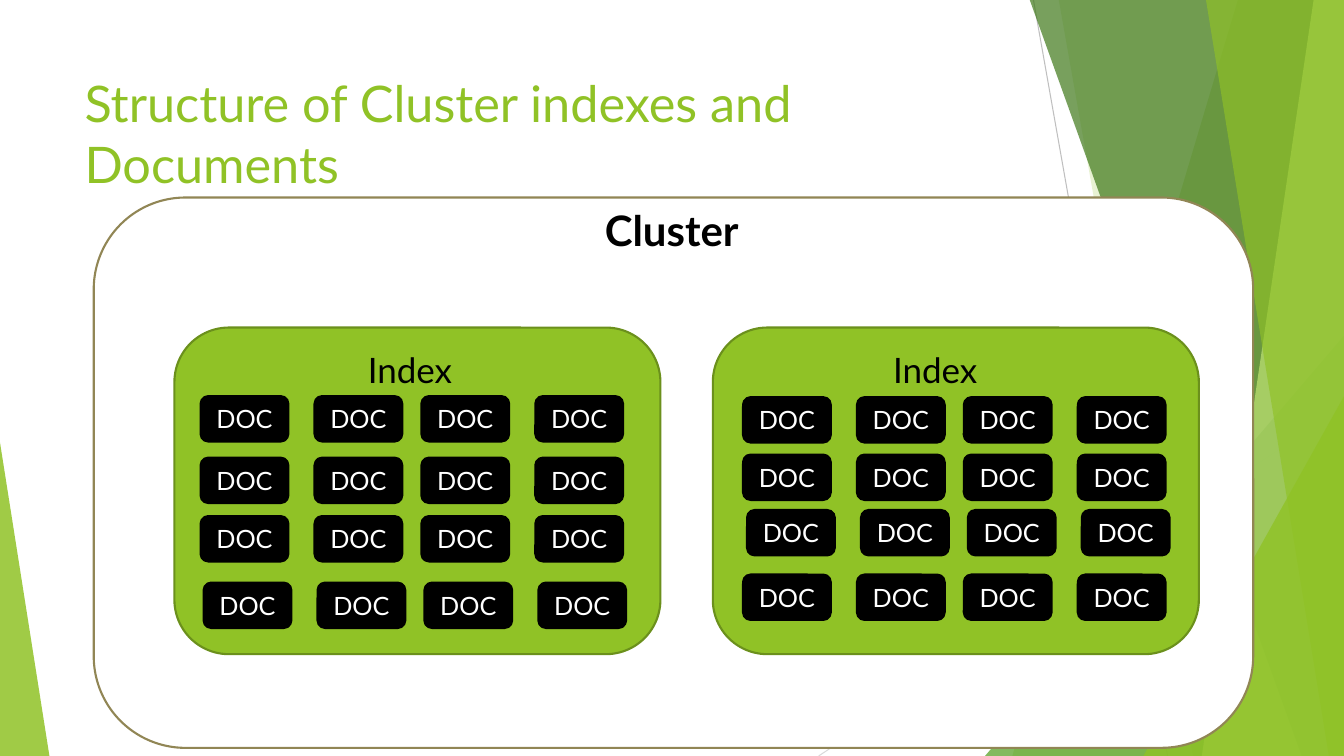
from pptx import Presentation
from pptx.dml.color import RGBColor
from pptx.enum.shapes import MSO_CONNECTOR, MSO_SHAPE
from pptx.enum.text import MSO_ANCHOR, PP_ALIGN
from pptx.oxml.ns import qn
from pptx.util import Inches, Pt
from lxml import etree

ROUNDED, TRIANGLE = MSO_SHAPE.ROUNDED_RECTANGLE, MSO_SHAPE.ISOSCELES_TRIANGLE
STRAIGHT = MSO_CONNECTOR.STRAIGHT
MIDDLE, CENTER = MSO_ANCHOR.MIDDLE, PP_ALIGN.CENTER

# Content
TITLE = "Structure of Cluster indexes and Documents"
CLUSTER_LABEL, INDEX_LABEL, DOC_LABEL = "Cluster", "Index", "DOC"
FONT = "Lato"
COLORS = {
    "green": "90C226", "leaf": "54A021", "forest": "3F7819", "lime": "C0E474",
    "index_edge": "6B901C", "cluster_edge": "918655",
    "rule": "BFBFBF", "pale_rule": "D9D9D9", "white": "FFFFFF", "black": "000000",
}

# Layout in inches
WIDTH, HEIGHT = 13.33, 7.5
BAND_TOP = -0.01
CLUSTER_BOX = (0.93, 1.96, 11.5, 5.46)
INDEX_TOP, INDEX_SIZE = 3.25, (4.82, 3.24)
DOC_SIZE = (0.87, 0.45)
DOC_COLUMNS = (0, 1.13, 2.19, 3.32)
# Each index: box left, label left, then (left, top) of every document row
INDEXES = [
    (1.73, 3.55, [(1.99, 3.93), (1.99, 4.54), (1.99, 5.12), (2.02, 5.78)]),
    (7.07, 8.76, [(7.37, 3.94), (7.37, 4.51), (7.41, 5.06), (7.37, 5.7)]),
]

# Backdrop: rules (x1, y1, x2, y2, color)
RULES = [
    (10.25, 0, 11.58, HEIGHT, "rule"),
    (WIDTH, 4.03, 8.12, HEIGHT, "pale_rule"),
]
# Bands reach the right edge: (top left x, bottom left x, color, opacity %).
# Triangles stand on the bottom edge: (left, width, height, apex, color, opacity %).
BACKDROP = [
    (12.28, 10.04, "green", 30),
    (10.5, 11.83, "green", 20),
    (9.77, 3.56, 4.17, 1, "leaf", 72),
    (10.21, 12.91, "forest", 70),
    (13.03, 11.92, "lime", 70),
    (11.96, 13.18, "green", 65),
    (11.34, 1.99, 3.57, 1, "green", 80),
    (0, 0.49, 3.11, 0, "green", 85),
]

prs = Presentation()
prs.slide_width, prs.slide_height = Inches(WIDTH), Inches(HEIGHT)
slide = prs.slides.add_slide(prs.slide_layouts[6])
shapes = slide.shapes


def rgb(name):
    return RGBColor.from_string(COLORS[name])


def paint(shape, fill, edge=None, opacity=100):
    shape.shadow.inherit = False
    shape.fill.solid()
    shape.fill.fore_color.rgb = rgb(fill)
    if opacity < 100:
        color = shape.fill._xPr.find(qn("a:solidFill"))[0]
        etree.SubElement(color, qn("a:alpha")).set("val", str(opacity * 1000))
    if edge:
        shape.line.color.rgb = rgb(edge)
        shape.line.width = Pt(1.5)
    else:
        shape.line.fill.background()


def write(shape, text, size, color, bold=False):
    frame = shape.text_frame
    frame.word_wrap = True
    frame.text = text
    font = frame.paragraphs[0].runs[0].font
    font.name, font.size, font.bold = FONT, Pt(size), bold
    font.color.rgb = rgb(color)
    return frame


def add_label(box, text, size, color, bold=False):
    write(shapes.add_textbox(*map(Inches, box)), text, size, color, bold)


def add_rounded(box, fill, edge):
    shape = shapes.add_shape(ROUNDED, *map(Inches, box))
    paint(shape, fill, edge)
    return shape


def add_band(top_x, bottom_x):
    builder = shapes.build_freeform(Inches(top_x), Inches(BAND_TOP))
    corners = [(WIDTH, BAND_TOP), (WIDTH, HEIGHT), (bottom_x, HEIGHT)]
    builder.add_line_segments([(Inches(x), Inches(y)) for x, y in corners], close=True)
    return builder.convert_to_shape()


def add_triangle(left, width, height, apex):
    box = (left, HEIGHT - height, width, height)
    triangle = shapes.add_shape(TRIANGLE, *map(Inches, box))
    triangle.adjustments[0] = apex
    return triangle


# Backdrop
for *ends, color in RULES:
    rule = shapes.add_connector(STRAIGHT, *map(Inches, ends))
    rule.line.color.rgb = rgb(color)
    rule.line.width = Pt(0.75)
    etree.SubElement(rule._element.spPr, qn("a:effectLst"))

for *geometry, color, opacity in BACKDROP:
    add_part = add_band if len(geometry) == 2 else add_triangle
    paint(add_part(*geometry), color, opacity=opacity)

# Title and cluster
add_label((0.74, 0.67, 9.4, 1.44), TITLE, 36, "green")
add_rounded(CLUSTER_BOX, "white", "cluster_edge")
add_label((5.9, 1.98, 4.78, 0.61), CLUSTER_LABEL, 30, "black", bold=True)

# Indexes with their documents
for index_left, label_left, doc_rows in INDEXES:
    add_rounded((index_left, INDEX_TOP, *INDEX_SIZE), "green", "index_edge")
    add_label((label_left, 3.41, 1.96, 0.52), INDEX_LABEL, 25, "black")
    for row_left, row_top in doc_rows:
        for offset in DOC_COLUMNS:
            doc = add_rounded((row_left + offset, row_top, *DOC_SIZE), "black", "black")
            doc_text = write(doc, DOC_LABEL, 18, "white")
            doc_text.vertical_anchor = MIDDLE
            doc_text.paragraphs[0].alignment = CENTER

prs.save("out.pptx")
